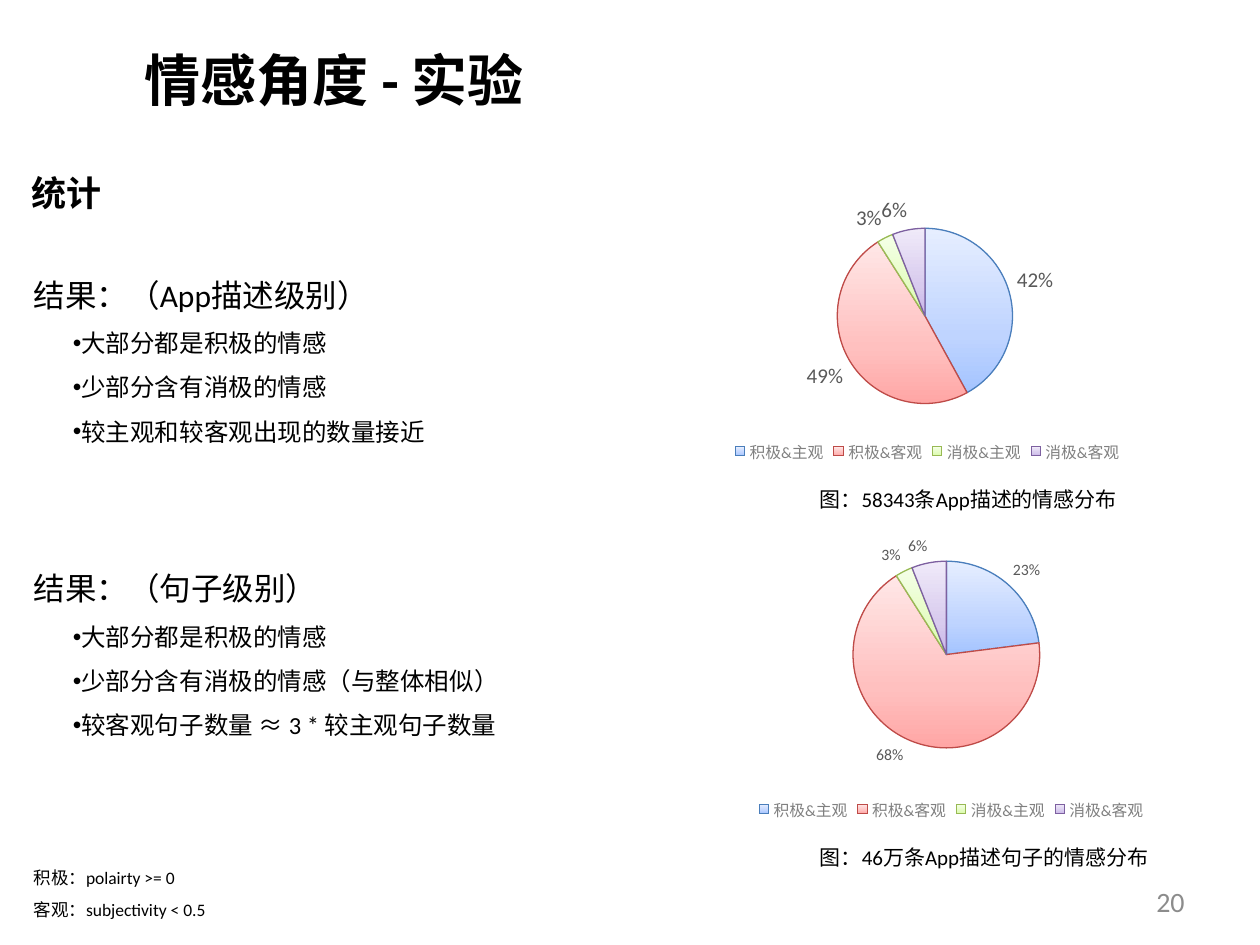
from copy import deepcopy

from lxml import etree
from pptx import Presentation
from pptx.chart.data import CategoryChartData
from pptx.dml.color import RGBColor
from pptx.enum.chart import XL_CHART_TYPE, XL_LABEL_POSITION, XL_LEGEND_POSITION
from pptx.enum.text import MSO_ANCHOR, MSO_AUTO_SIZE, PP_ALIGN
from pptx.oxml.ns import qn
from pptx.util import Inches, Pt

PIE = XL_CHART_TYPE.PIE
OUTSIDE = XL_LABEL_POSITION.OUTSIDE_END
BOTTOM = XL_LEGEND_POSITION.BOTTOM
MIDDLE, TOP = MSO_ANCHOR.MIDDLE, MSO_ANCHOR.TOP
GROW, FIXED = MSO_AUTO_SIZE.SHAPE_TO_FIT_TEXT, MSO_AUTO_SIZE.NONE
LEFT, CENTER, RIGHT = PP_ALIGN.LEFT, PP_ALIGN.CENTER, PP_ALIGN.RIGHT

COLORS = {
    "text": "000000",
    "number": "8C8C8C",
    "label": "595959",
    "legend": "808080",
}
STOPS = (0, 0.35, 1)
# Category: (outline, gradient colours from bottom to top)
SLICES = {
    "积极&主观": ("4A7EBB", ("A4C4FF", "BFD4FF", "E6EEFF")),
    "积极&客观": ("BE4B48", ("FFA6A5", "FFC0BF", "FFE7E7")),
    "消极&主观": ("98B954", ("DAFDA7", "E4FCC2", "F5FFE7")),
    "消极&客观": ("7D60A0", ("C9B5E8", "D8CBEE", "F0EAF9")),
}


class SlideBuilder:
    """Holds the style and the page being filled."""

    font_name = "Calibri"

    def __init__(self, page):
        self.page = page

    def style(self, font, size, color="text", bold=False):
        font.name = self.font_name
        font.size = Pt(size)
        font.bold = bold
        font.color.rgb = RGBColor.from_string(COLORS[color])

    def text_frame(self, area, anchor=TOP, auto_size=GROW):
        box = self.page.shapes.add_textbox(*map(Inches, area))
        frame = box.text_frame
        frame.word_wrap = True
        frame.auto_size = auto_size
        frame.vertical_anchor = anchor
        return frame

    def text(self, area, lines, size, color="text", bold=False,
             align=LEFT, spacing=None, anchor=TOP, auto_size=GROW):
        frame = self.text_frame(area, anchor, auto_size)
        for index, line in enumerate(lines):
            para = frame.add_paragraph() if index else frame.paragraphs[0]
            para.text = line
            para.alignment = align
            para.line_spacing = spacing
            self.style(para.font, size, color, bold)

    def findings(self, area, heading, points):
        """Add a heading followed by bulleted points."""
        frame = self.text_frame(area)
        para = frame.paragraphs[0]
        para.text = heading
        para.line_spacing = 1.5
        self.style(para.font, 18)
        for point in points:
            para = frame.add_paragraph()
            para.text = point
            para.line_spacing = 1.5
            props = para._p.get_or_add_pPr()
            props.set("marL", str(Inches(0.31)))
            props.set("indent", "0")
            etree.SubElement(props, qn("a:buFont"), typeface="Arial")
            etree.SubElement(props, qn("a:buChar"), char="•")
            self.style(para.font, 14)

    def pie(self, area, values, label_size, plot):
        """Add a pie chart; plot is left, top, width, height as chart fractions."""
        data = CategoryChartData()
        data.categories = list(SLICES)
        data.add_series("Series 1", values)
        frame = self.page.shapes.add_chart(PIE, *map(Inches, area), data)
        chart = frame.chart
        chart.has_title = False
        self.style(chart.font, 10)

        chart.has_legend = True
        chart.legend.position = BOTTOM
        chart.legend.include_in_layout = False
        self.style(chart.legend.font, 9, "legend")

        pie = chart.plots[0]
        pie.vary_by_categories = True
        pie.has_data_labels = True
        labels = pie.data_labels
        labels.show_percentage = True
        labels.show_value = False
        labels.number_format = "0%"
        labels.number_format_is_linked = False
        labels.position = OUTSIDE
        self.style(labels.font, label_size, "label")

        for index, (outline, gradient) in enumerate(SLICES.values()):
            self.paint(pie.series[0].points[index].format, outline, gradient)
        self.place_plot(chart, plot)

    def paint(self, slice_format, outline, gradient):
        slice_format.line.color.rgb = RGBColor.from_string(outline)
        slice_format.line.width = Pt(0.75)
        fill = slice_format.fill
        fill.gradient()
        fill.gradient_angle = 90
        first = fill.gradient_stops[0]._gs
        first.addnext(deepcopy(first))
        for stop, position, color in zip(fill.gradient_stops, STOPS, gradient):
            stop.position = position
            stop.color.rgb = RGBColor.from_string(color)

    def place_plot(self, chart, plot):
        area = chart._chartSpace.find(".//" + qn("c:plotArea"))
        for old in area.findall(qn("c:layout")):
            area.remove(old)
        layout = etree.Element(qn("c:layout"))
        area.insert(0, layout)
        manual = etree.SubElement(layout, qn("c:manualLayout"))
        settings = [("layoutTarget", "inner"), ("xMode", "edge"), ("yMode", "edge")]
        settings += zip("xywh", plot)
        for name, value in settings:
            etree.SubElement(manual, qn("c:" + name), val=str(value))


def main():
    deck = Presentation()
    deck.slide_width, deck.slide_height = Inches(10), Inches(7.5)
    builder = SlideBuilder(deck.slides.add_slide(deck.slide_layouts[6]))

    builder.text((1.05, 0, 8.45, 1.25), ["情感角度 - 实验"], 32, bold=True,
                 anchor=MIDDLE, auto_size=FIXED)
    builder.text((8.61, 6.95, 0.89, 0.4), ["20"], 16, "number", align=RIGHT,
                 anchor=MIDDLE, auto_size=FIXED)
    builder.text((0.15, 1.31, 3.59, 0.44), ["统计"], 20, bold=True)

    builder.findings((0.17, 1.99, 4.06, 1.61), "结果：（App描述级别）", [
        "大部分都是积极的情感",
        "少部分含有消极的情感",
        "较主观和较客观出现的数量接近",
    ])
    builder.findings((0.17, 4.32, 4.06, 1.61), "结果：（句子级别）", [
        "大部分都是积极的情感",
        "少部分含有消极的情感（与整体相似）",
        "较客观句子数量 ≈ 3 * 较主观句子数量",
    ])

    builder.pie((5.48, 1.42, 3.76, 2.29), (42, 49, 3, 6), 12,
                (0.31, 0.17, 0.37, 0.61))
    builder.text((6.03, 3.71, 3.31, 0.4), ["图：58343条App描述的情感分布"], 12,
                 align=CENTER, spacing=1.5)
    builder.pie((5.6, 4.11, 3.9, 2.44), (23, 68, 3, 6), 9,
                (0.3, 0.14, 0.38, 0.61))
    builder.text((6.03, 6.55, 3.56, 0.4), ["图：46万条App描述句子的情感分布"], 12,
                 align=CENTER, spacing=1.5)

    builder.text((0.17, 6.75, 4.06, 0.6),
                 ["积极：polairty >= 0", "客观：subjectivity < 0.5"], 10, spacing=1.5)
    deck.save("out.pptx")


if __name__ == "__main__":
    main()
